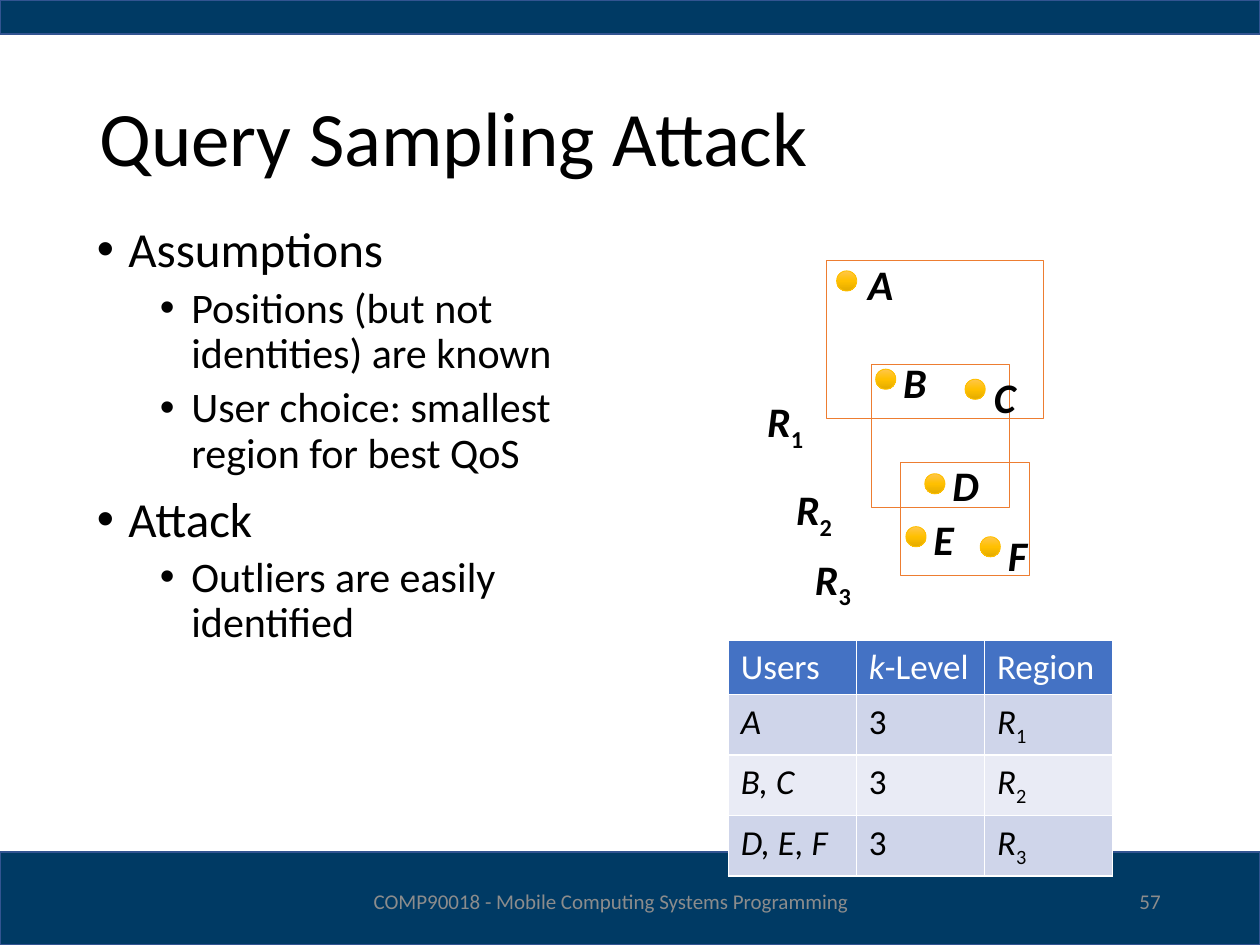
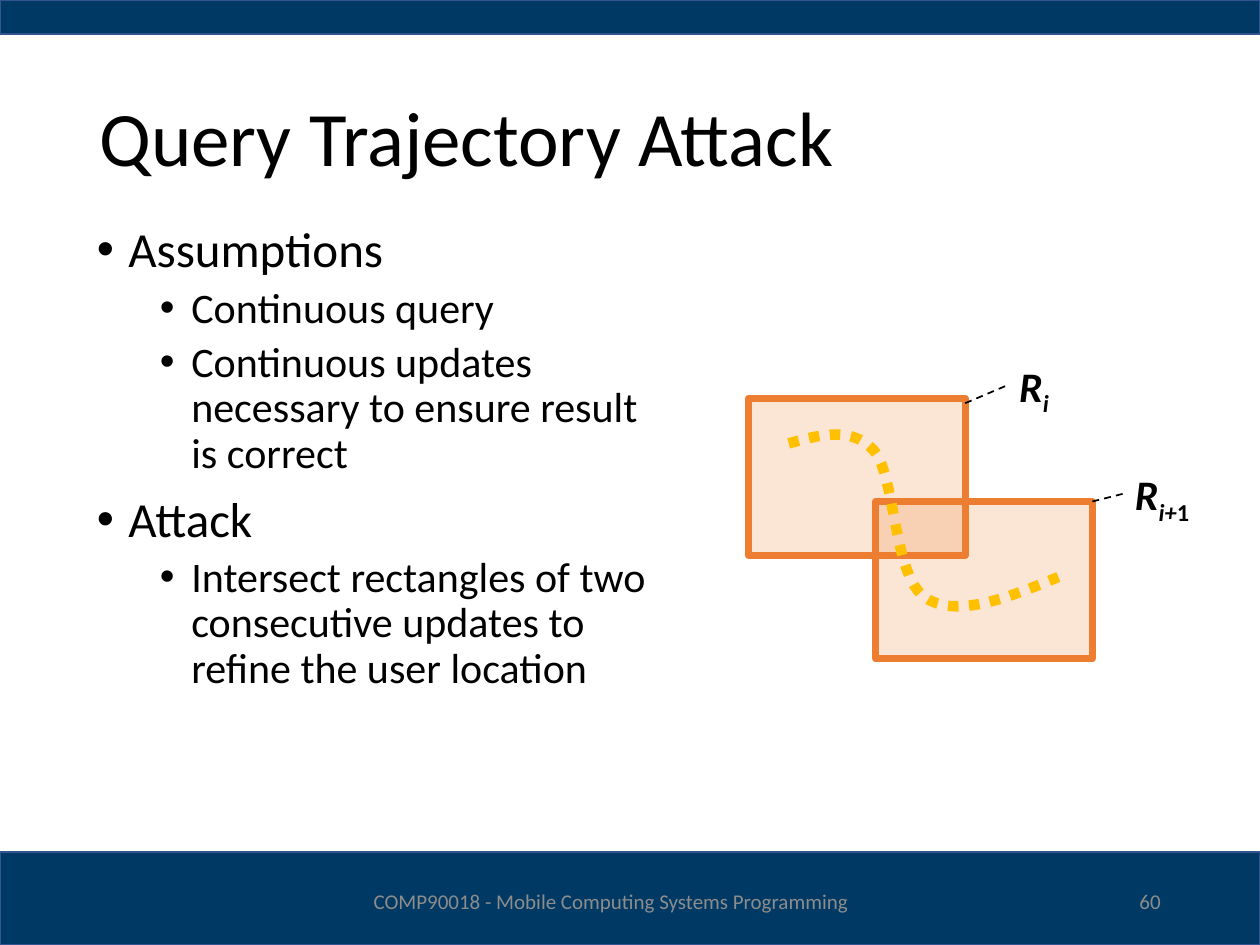
from dataclasses import dataclass

from lxml import etree
from pptx import Presentation
from pptx.dml.color import RGBColor
from pptx.enum.dml import MSO_LINE
from pptx.enum.shapes import MSO_CONNECTOR, MSO_SHAPE
from pptx.enum.text import MSO_ANCHOR, MSO_AUTO_SIZE, PP_ALIGN
from pptx.oxml import parse_xml
from pptx.oxml.ns import nsdecls, qn
from pptx.util import Pt

PX = 9144  # 100 px to the inch
SLIDE_WIDTH, SLIDE_HEIGHT = 1000, 750
RECTANGLE, OVAL = MSO_SHAPE.RECTANGLE, MSO_SHAPE.OVAL
STRAIGHT = MSO_CONNECTOR.STRAIGHT
DASH, DOT = MSO_LINE.DASH, MSO_LINE.ROUND_DOT
LEFT, CENTER, RIGHT = PP_ALIGN.LEFT, PP_ALIGN.CENTER, PP_ALIGN.RIGHT
TOP, MIDDLE = MSO_ANCHOR.TOP, MSO_ANCHOR.MIDDLE
FIT_SHAPE = MSO_AUTO_SIZE.SHAPE_TO_FIT_TEXT


@dataclass(frozen=True)
class Theme:
    font: str = "Calibri"
    text: str = "000000"
    white: str = "FFFFFF"
    band: str = "003A64"
    band_line: str = "325491"
    footer: str = "8C8C8C"
    region: str = "ED7D31"
    user: str = "FFC000"
    user_gradient: tuple = ("FFC64B", "FFC000", "E3AB00")
    header_row: str = "4472C4"
    row_bands: tuple = ("CFD5EA", "E9EBF5")
    title_size: int = 44
    topic_size: int = 28
    point_size: int = 24
    label_size: int = 24
    table_size: int = 20
    footer_size: int = 12


THEME = Theme()


def rgb(value):
    return RGBColor.from_string(value)


def emu(*lengths):
    return [round(length * PX) for length in lengths]


def inside(box, x, y, width=0, height=0):
    """Turn a place relative to a box into a place on the slide."""
    return box[0] + x, box[1] + y, width, height


def write(paragraph, content, size, color=THEME.text, bold=False, italic=False):
    """Fill a paragraph from text, or from runs of (text, format changes)."""
    runs = [(content, {})] if isinstance(content, str) else content
    for text, changes in runs:
        run = paragraph.add_run()
        run.text = text
        font = run.font
        font.name, font.size = THEME.font, Pt(size)
        font.color.rgb = rgb(color)
        font.bold = bold
        font.italic = changes.get("italic", italic)
        if changes.get("subscript"):
            run._r.get_or_add_rPr().set("baseline", "-25000")


def add_text(slide, box, content, align=LEFT, anchor=TOP, wrap=True,
             line_spacing=None, **format):
    frame = slide.shapes.add_textbox(*emu(*box)).text_frame
    frame.word_wrap = wrap
    frame.vertical_anchor = anchor
    if not wrap:
        frame.auto_size = FIT_SHAPE
    paragraph = frame.paragraphs[0]
    paragraph.alignment = align
    if line_spacing:
        paragraph.line_spacing = line_spacing
    write(paragraph, content, **format)


def add_label(slide, box, content):
    add_text(slide, box, content, wrap=False, size=THEME.label_size,
             bold=True, italic=True)


def set_line(shape, color, width, dash=None):
    shape.line.color.rgb = rgb(color)
    shape.line.width = Pt(width)
    if dash:
        shape.line.dash_style = dash


def add_shape(slide, kind, box, line, line_width, fill=None, opacity=None):
    shape = slide.shapes.add_shape(kind, *emu(*box))
    shape.shadow.inherit = False
    if fill:
        shape.fill.solid()
        shape.fill.fore_color.rgb = rgb(fill)
    else:
        shape.fill.background()
    if opacity:
        color = shape._element.spPr.find(qn("a:solidFill")).find(qn("a:srgbClr"))
        etree.SubElement(color, qn("a:alpha")).set("val", str(opacity * 1000))
    set_line(shape, line, line_width)
    return shape


def subscripted(letter, *subscript):
    return [(letter, {"italic": True})] + [
        (text, {"italic": italic, "subscript": True}) for text, italic in subscript]


def region_name(number):
    return subscripted("R", (str(number), False))


def add_frame(slide, title, number):
    """Draw the bands, title and footer that every slide has."""
    for top, height in ((676, 74), (0, 27)):
        add_shape(slide, RECTANGLE, (0, top, SLIDE_WIDTH, height),
                  THEME.band_line, 1, fill=THEME.band)
    add_text(slide, (69, 40, 862, 145), title, anchor=MIDDLE, line_spacing=0.9,
             size=THEME.title_size)
    footers = (((263, 695, 444, 40), CENTER,
                "COMP90018 - Mobile Computing Systems Programming"),
               ((706, 695, 225, 40), RIGHT, str(number)))
    for box, align, text in footers:
        add_text(slide, box, text, align=align, anchor=MIDDLE,
                 size=THEME.footer_size, color=THEME.footer)


def add_bullet(paragraph, left, hanging):
    properties = paragraph._p.get_or_add_pPr()
    properties.set("marL", str(left * PX))
    properties.set("indent", str(-hanging * PX))
    etree.SubElement(properties, qn("a:buFont")).set("typeface", "Arial")
    etree.SubElement(properties, qn("a:buChar")).set("char", "•")


def add_outline(slide, box, outline):
    """Write bulleted topics, each with its bulleted points."""
    frame = slide.shapes.add_textbox(*emu(*box)).text_frame
    frame.word_wrap = True
    lines = []
    for topic, points in outline.items():
        lines.append((topic, 0))
        lines.extend((point, 1) for point in points)
    for index, (text, level) in enumerate(lines):
        paragraph = frame.add_paragraph() if index else frame.paragraphs[0]
        add_bullet(paragraph, 75 if level else 25, 25)
        paragraph.level = level
        paragraph.line_spacing = 0.9
        if index:
            paragraph.space_before = Pt(5 if level else 10)
        write(paragraph, text, THEME.point_size if level else THEME.topic_size)


def add_user_dot(slide, box):
    dot = add_shape(slide, OVAL, box, THEME.user, 0.5)
    stops = "".join(
        f'<a:gs pos="{index * 50000}"><a:srgbClr val="{color}"/></a:gs>'
        for index, color in enumerate(THEME.user_gradient))
    gradient = parse_xml(
        f'<a:gradFill {nsdecls("a")}><a:gsLst>{stops}</a:gsLst>'
        '<a:lin ang="5400000" scaled="0"/></a:gradFill>')
    properties = dot._element.spPr
    properties.replace(properties.find(qn("a:noFill")), gradient)


def add_region_map(slide, box):
    """Draw three cloaking regions and the users in them."""
    regions = (((57, 7, 172, 125), (0, 109)),
               ((93, 89, 109, 114), (23, 179)),
               ((116, 167, 102, 90), (38, 234)))
    users = {"A": ((65, 15), (80, 0, 49)), "B": ((96, 93), (108, 78, 47)),
             "C": ((167, 101), (180, 90, 46)), "D": ((135, 176), (147, 160, 50)),
             "E": ((120, 218), (132, 203, 45)), "F": ((179, 226), (191, 215, 44))}
    for number, (area, label) in enumerate(regions, 1):
        add_shape(slide, RECTANGLE, inside(box, *area), THEME.region, 0.5)
        add_label(slide, inside(box, *label, 54, 50), region_name(number))
    for name, (dot, label) in users.items():
        add_user_dot(slide, inside(box, *dot, 16, 16))
        add_label(slide, inside(box, *label, 50), name)


def set_borders(cell, color):
    properties = cell._tc.get_or_add_tcPr()
    for index, side in enumerate("LRTB"):
        properties.insert(index, parse_xml(
            f'<a:ln{side} {nsdecls("a")} w="12700"><a:solidFill>'
            f'<a:srgbClr val="{color}"/></a:solidFill></a:ln{side}>'))


def add_user_table(slide, box):
    header = ("Users", [("k", {"italic": True}), ("-Level", {})], "Region")
    rows = [header] + [([(users, {"italic": True})], "3", region_name(number))
                       for number, users in enumerate(("A", "B, C", "D, E, F"), 1)]
    table = slide.shapes.add_table(len(rows), len(header), *emu(*box)).table
    for row_index, row in enumerate(rows):
        fill = THEME.row_bands[(row_index - 1) % 2] if row_index else THEME.header_row
        color = THEME.text if row_index else THEME.white
        for column_index, content in enumerate(row):
            cell = table.cell(row_index, column_index)
            cell.fill.solid()
            cell.fill.fore_color.rgb = rgb(fill)
            set_borders(cell, THEME.white)
            write(cell.text_frame.paragraphs[0], content, THEME.table_size, color)


def bezier(start, control_1, control_2, end, steps=24):
    """Return the points of a cubic curve after its start."""
    points = []
    for step in range(1, steps + 1):
        t = step / steps
        weights = ((1 - t) ** 3, 3 * t * (1 - t) ** 2, 3 * t * t * (1 - t), t ** 3)
        corners = (start, control_1, control_2, end)
        points.append(tuple(sum(weight * corner[axis] for weight, corner
                                in zip(weights, corners)) for axis in (0, 1)))
    return points


def add_path(slide, box, start, curves):
    points = [start]
    for curve in curves:
        points += bezier(points[-1], *curve)
    points = [emu(*inside(box, *point)[:2]) for point in points]
    builder = slide.shapes.build_freeform(*points[0], scale=1.0)
    builder.add_line_segments(points[1:], close=False)
    path = builder.convert_to_shape()
    path.shadow.inherit = False
    path.fill.background()
    set_line(path, THEME.user, 6, DOT)


def add_leader(slide, box, start, end):
    ends = inside(box, *start)[:2] + inside(box, *end)[:2]
    leader = slide.shapes.add_connector(STRAIGHT, *emu(*ends))
    set_line(leader, THEME.text, 1, DASH)
    etree.SubElement(leader._element.spPr, qn("a:effectLst"))


def add_trajectory_map(slide, box):
    """Draw two overlapping regions and the path of a user through them."""
    for corner in ((101, 117), (0, 35)):
        add_shape(slide, RECTANGLE, inside(box, *corner, 172, 125),
                  THEME.region, 4, fill=THEME.region, opacity=20)
    leaders = (((172, 39), (205, 25)), ((297, 111), (273, 117)))
    for start, end in leaders:
        add_leader(slide, box, start, end)
    add_label(slide, inside(box, 205, 0, 51, 50), subscripted("R", ("i", True)))
    add_label(slide, inside(box, 297, 86, 70, 50),
              subscripted("R", ("i+", True), ("1", False)))
    add_path(slide, box, (32, 71), (((57, 64), (82, 57), (100, 77)),
                                    ((117, 98), (115, 176), (140, 193)),
                                    ((164, 210), (205, 194), (246, 177))))


def add_sampling_slide(slide):
    add_frame(slide, "Query Sampling Attack", 57)
    add_user_table(slide, (578, 508, 305, 164))
    add_region_map(slide, (599, 200, 235, 284))
    add_outline(slide, (67, 174, 425, 500), {
        "Assumptions": ("Positions (but not identities) are known",
                        "User choice: smallest region for best QoS"),
        "Attack": ("Outliers are easily identified",)})


def add_trajectory_slide(slide):
    add_frame(slide, "Query Trajectory Attack", 60)
    add_outline(slide, (67, 174, 465, 500), {
        "Assumptions": ("Continuous query",
                        "Continuous updates necessary to ensure result is correct"),
        "Attack": ("Intersect rectangles of two consecutive updates to refine "
                   "the user location",)})
    add_trajectory_map(slide, (594, 281, 367, 242))


def main():
    presentation = Presentation()
    presentation.slide_width, presentation.slide_height = emu(SLIDE_WIDTH, SLIDE_HEIGHT)
    blank = presentation.slide_layouts[6]
    for build in (add_sampling_slide, add_trajectory_slide):
        build(presentation.slides.add_slide(blank))
    presentation.save("out.pptx")


if __name__ == "__main__":
    main()
